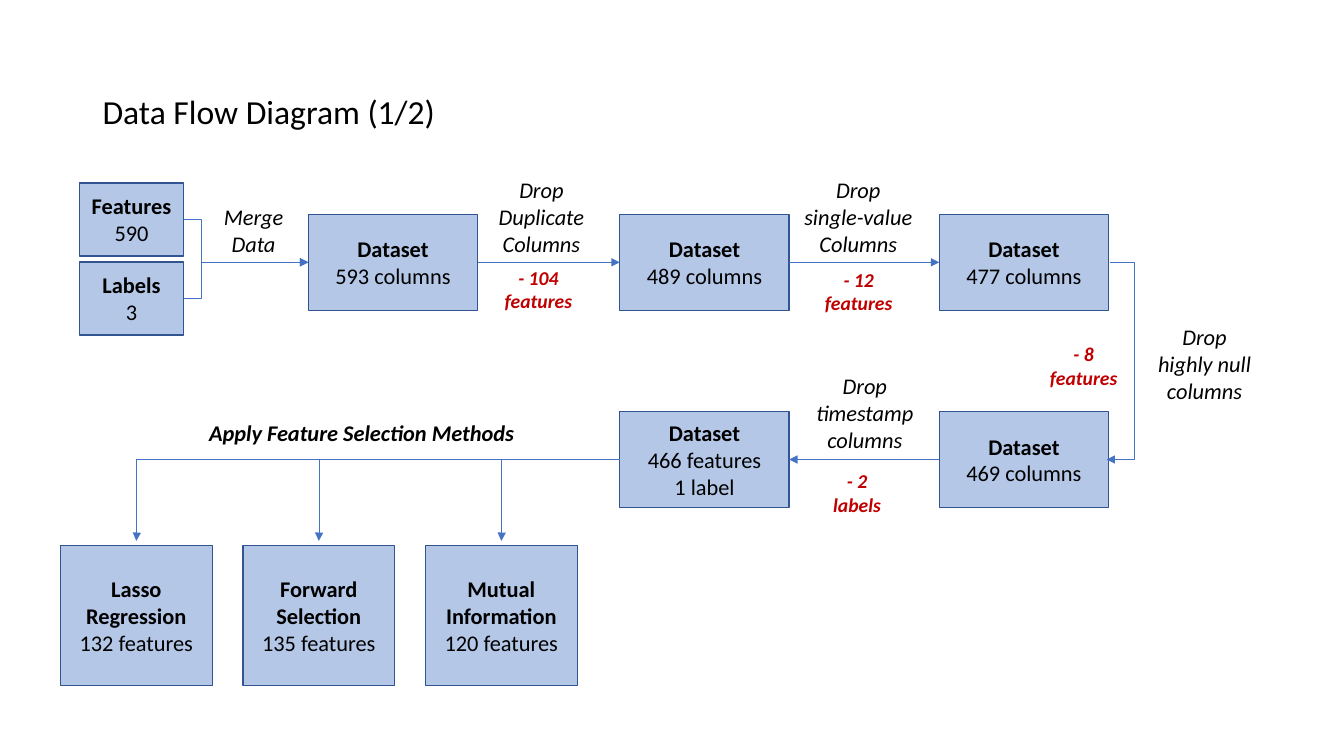
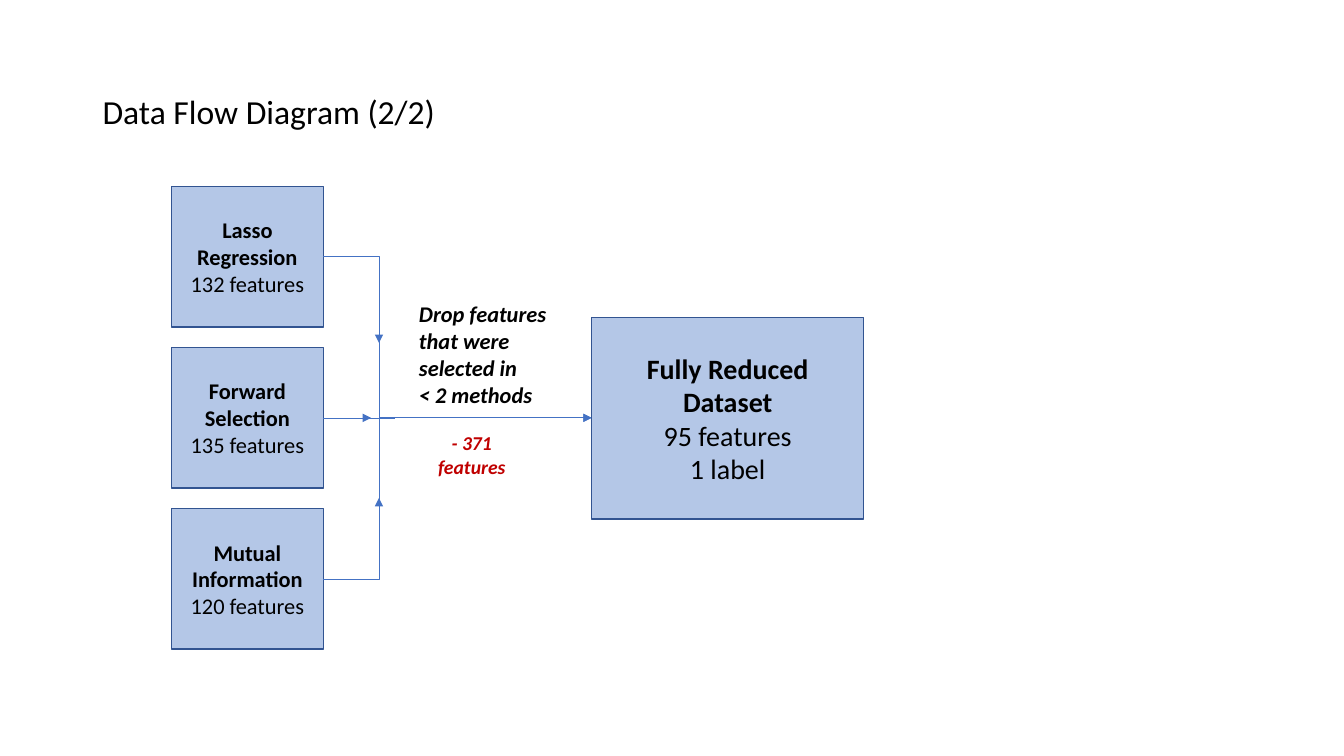
from lxml import etree
from pptx import Presentation
from pptx.dml.color import RGBColor
from pptx.enum.shapes import MSO_CONNECTOR, MSO_SHAPE
from pptx.enum.text import MSO_ANCHOR, PP_ALIGN
from pptx.oxml.ns import qn
from pptx.util import Cm, Pt

RECTANGLE = MSO_SHAPE.RECTANGLE
STRAIGHT, ELBOW = MSO_CONNECTOR.STRAIGHT, MSO_CONNECTOR.ELBOW
LEFT, CENTER = PP_ALIGN.LEFT, PP_ALIGN.CENTER
TOP, MIDDLE = MSO_ANCHOR.TOP, MSO_ANCHOR.MIDDLE
LEFT_SITE, RIGHT_SITE = 1, 3  # connection sites of a rectangle
TITLE_ONLY = 5

COLORS = {
    "text": "000000",
    "loss": "C00000",
    "box": "B4C7E7",
    "border": "325491",
    "arrow": "4472C4",
}
FONT = "Calibri"

DATASET_SIZE = (4.27, 2.42)
SOURCE_SIZE = (2.63, 1.84)
METHOD_SIZE = (3.83, 3.54)
METHODS = [
    ("Lasso Regression", "132 features"),
    ("Forward Selection", "135 features"),
    ("Mutual Information", "120 features"),
]


def rgb(name):
    return RGBColor.from_string(COLORS[name])


class FlowDeck:
    """Holds the style and the current slide; all lengths are centimetres."""

    def __init__(self):
        self.presentation = Presentation()
        self.presentation.slide_width = Cm(33.87)
        self.presentation.slide_height = Cm(19.05)
        self.slide = None

    def add_slide(self, title):
        layout = self.presentation.slide_layouts[TITLE_ONLY]
        self.slide = self.presentation.slides.add_slide(layout)
        shape = self.slide.shapes.title
        shape.left, shape.top = Cm(2.33), Cm(1.01)
        shape.width, shape.height = Cm(29.21), Cm(3.68)
        self.fill_text(shape, [title], 24, alignment=LEFT)
        shape.text_frame.paragraphs[0].line_spacing = 0.9

    def fill_text(self, shape, lines, size, color="text", alignment=CENTER,
                  anchor=MIDDLE, bold=False, italic=False):
        frame = shape.text_frame
        frame.word_wrap = True
        frame.vertical_anchor = anchor
        frame.text = "\n".join(lines)
        for paragraph in frame.paragraphs:
            paragraph.alignment = alignment
            font = paragraph.font
            font.name, font.size = FONT, Pt(size)
            font.bold, font.italic = bold, italic
            font.color.rgb = rgb(color)

    def box(self, left, top, size, lines, font_size=16):
        """Bordered box whose first line is a bold heading."""
        shape = self.slide.shapes.add_shape(
            RECTANGLE, Cm(left), Cm(top), *map(Cm, size))
        shape.shadow.inherit = False
        shape.fill.solid()
        shape.fill.fore_color.rgb = rgb("box")
        shape.line.color.rgb = rgb("border")
        shape.line.width = Pt(1)
        self.fill_text(shape, lines, font_size)
        shape.text_frame.paragraphs[0].font.bold = True
        return shape

    def text(self, left, top, width, height, lines, size=16, **style):
        shape = self.slide.shapes.add_textbox(
            Cm(left), Cm(top), Cm(width), Cm(height))
        self.fill_text(shape, lines, size, italic=True, **style)

    def step(self, left, top, width, lines):
        """Italic name of a processing step."""
        self.text(left, top, width, 2.31, lines, anchor=TOP)

    def loss(self, left, top, line, width=2.34):
        """Red count of what a step removes."""
        self.text(left, top, width, 1.47, [line], 14, color="loss", bold=True)

    def line(self, x1, y1, x2, y2, kind=STRAIGHT, head=True):
        connector = self.slide.shapes.add_connector(
            kind, Cm(x1), Cm(y1), Cm(x2), Cm(y2))
        connector.line.color.rgb = rgb("arrow")
        connector.line.width = Pt(0.5)
        properties = connector._element.spPr
        if head:
            outline = properties.find(qn("a:ln"))
            etree.SubElement(outline, qn("a:tailEnd"), type="triangle")
        etree.SubElement(properties, qn("a:effectLst"))
        return connector

    def elbow(self, x1, y1, x2, y2, bend):
        """Bent arrow whose vertical part lies at x = bend."""
        connector = self.line(x1, y1, x2, y2, ELBOW)
        share = round((bend - x1) / (x2 - x1) * 100000)
        geometry = connector._element.spPr.find(qn("a:prstGeom"))
        adjustments = geometry.get_or_add_avLst()
        etree.SubElement(adjustments, qn("a:gd"), name="adj1", fmla=f"val {share}")

    def link(self, start, end, start_site=RIGHT_SITE, end_site=LEFT_SITE):
        """Straight arrow attached to two boxes."""
        connector = self.line(0, 0, 1, 1)
        connector.begin_connect(start, start_site)
        connector.end_connect(end, end_site)


def build_cleaning_slide(deck):
    deck.add_slide("Data Flow Diagram (1/2)")
    dataset_width, dataset_height = DATASET_SIZE
    columns = (7.77, 15.62, 23.67)
    top_row, bottom_row = 5.4, 10.37
    top_middle = top_row + dataset_height / 2
    bottom_middle = bottom_row + dataset_height / 2

    # Sources merged into the first dataset
    source_left = 2.0
    for top, lines in ((4.61, ("Features", "590")), (6.6, ("Labels", "3"))):
        deck.box(source_left, top, SOURCE_SIZE, lines)
        deck.elbow(source_left + SOURCE_SIZE[0], top + SOURCE_SIZE[1] / 2,
                   columns[0], top_middle, bend=5.08)

    # Datasets
    merged, unique, varied = [
        deck.box(left, top_row, DATASET_SIZE, ("Dataset", f"{count} columns"))
        for left, count in zip(columns, (593, 489, 477))]
    filled = deck.box(columns[2], bottom_row, DATASET_SIZE,
                      ("Dataset", "469 columns"))
    final = deck.box(columns[1], bottom_row, DATASET_SIZE,
                     ("Dataset", "466 features", "1 label"))

    # Arrows between datasets
    deck.link(merged, unique)
    deck.link(unique, varied)
    deck.link(filled, final, LEFT_SITE, RIGHT_SITE)
    right_edge = columns[2] + dataset_width
    deck.elbow(right_edge + 0.03, top_middle, right_edge - 0.05, bottom_middle,
               bend=28.6)

    # Steps and what they remove
    deck.step(5.08, 5.0, 2.62, ["Merge Data"])
    deck.step(12.12, 4.32, 3.05, ["Drop Duplicate Columns"])
    deck.step(19.89, 4.32, 3.48, ["Drop", "single-value Columns"])
    deck.step(28.83, 8.03, 3.05, ["Drop highly null columns"])
    deck.step(20.27, 9.25, 3.05, ["Drop timestamp columns"])
    deck.loss(12.4, 6.55, "- 104 features")
    deck.loss(20.47, 6.6, "- 12 features")
    deck.loss(26.14, 8.48, "- 8 features")
    deck.loss(20.65, 11.68, "- 2 labels", width=1.9)

    # Feature selection methods
    deck.text(4.85, 10.44, 8.53, 0.94, ["Apply Feature Selection Methods"],
              bold=True, anchor=TOP)
    for index, lines in enumerate(METHODS):
        left = 1.52 + 4.6 * index
        center = left + METHOD_SIZE[0] / 2
        deck.box(left, 13.74, METHOD_SIZE, lines)
        deck.elbow(columns[1], bottom_middle, center, 13.63, bend=center + 0.01)


def build_selection_slide(deck):
    deck.add_slide("Data Flow Diagram (2/2)")
    method_left, method_top, method_pitch = 4.32, 4.7, 4.06
    method_right = method_left + METHOD_SIZE[0]
    middle = method_top + method_pitch + METHOD_SIZE[1] / 2
    junction, result_left = 9.55, 14.91

    # Methods joining at the junction
    for index, lines in enumerate(METHODS):
        top = method_top + method_pitch * index
        deck.box(method_left, top, METHOD_SIZE, lines)
        if index != 1:
            deck.elbow(method_right, top + METHOD_SIZE[1] / 2,
                       result_left, middle, bend=junction)
    deck.line(method_right, middle, 9.35, middle)
    deck.line(junction, 6.93, junction, 8.64)
    deck.line(junction, 14.3, junction, 12.55)
    deck.line(8.74, middle, 9.96, middle, head=False)

    # Final step and result
    deck.text(10.31, 7.44, 3.96, 3.0,
              ["Drop features that were selected in", "< 2 methods"],
              bold=True, alignment=LEFT, anchor=TOP)
    deck.loss(10.72, 10.72, "- 371 features")
    deck.box(result_left, 8.0, (6.86, 5.08),
             ("Fully Reduced Dataset", "95 features", "1 label"), font_size=20)


def main():
    deck = FlowDeck()
    build_cleaning_slide(deck)
    build_selection_slide(deck)
    deck.presentation.save("out.pptx")


if __name__ == "__main__":
    main()
